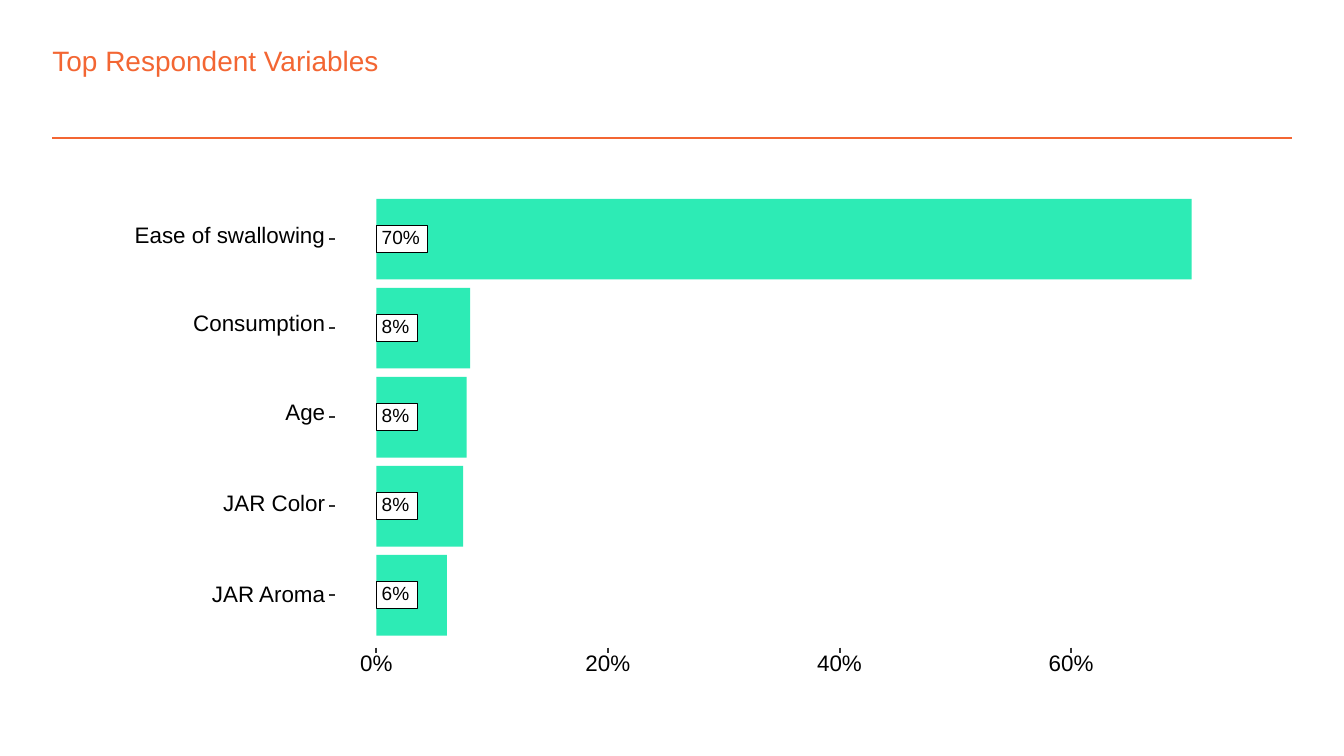
from lxml import etree
from pptx import Presentation
from pptx.dml.color import RGBColor
from pptx.enum.shapes import MSO_CONNECTOR, MSO_SHAPE
from pptx.enum.text import MSO_ANCHOR, PP_ALIGN
from pptx.oxml.ns import qn
from pptx.util import Inches, Pt

RECTANGLE = MSO_SHAPE.RECTANGLE
STRAIGHT = MSO_CONNECTOR.STRAIGHT
TOP, MIDDLE = MSO_ANCHOR.TOP, MSO_ANCHOR.MIDDLE
LEFT, CENTER, RIGHT = PP_ALIGN.LEFT, PP_ALIGN.CENTER, PP_ALIGN.RIGHT

ORANGE = RGBColor(0xF3, 0x66, 0x33)
TEAL = RGBColor(0x2D, 0xEB, 0xB5)
WHITE = RGBColor(0xFF, 0xFF, 0xFF)
BLACK = RGBColor(0x00, 0x00, 0x00)
TICK_GRAY = RGBColor(0x33, 0x33, 0x33)

deck = Presentation()
deck.slide_width = Inches(10)
deck.slide_height = Inches(10 * 9 / 16)
page = deck.slides.add_slide(deck.slide_layouts[6])


def add_text(text, left, top, width, height, size, color=BLACK, align=LEFT, anchor=MIDDLE):
    box = page.shapes.add_textbox(Inches(left), Inches(top), Inches(width), Inches(height))
    frame = box.text_frame
    frame.margin_left = frame.margin_right = frame.margin_top = frame.margin_bottom = 0
    frame.word_wrap = anchor == TOP
    frame.vertical_anchor = anchor
    para = frame.paragraphs[0]
    para.text = text
    para.alignment = align
    if anchor == MIDDLE:
        para.line_spacing = Pt(size)
    para.font.name = "Arial"
    para.font.size = Pt(size)
    para.font.color.rgb = color


def add_line(x1, y1, x2, y2, color, weight):
    line = page.shapes.add_connector(STRAIGHT, Inches(x1), Inches(y1), Inches(x2), Inches(y2))
    line.line.color.rgb = color
    line.line.width = Pt(weight)
    etree.SubElement(line._element.spPr, qn("a:effectLst"))


add_line(0.39, 1.03, 9.61, 1.03, ORANGE, 1)
add_text("Top Respondent Variables", 0.39, 0.32, 8.29, 0.25, 15, ORANGE, anchor=TOP)

AXIS_LEFT = 2.8
INCHES_PER_PERCENT = 5.17 / 60
FIRST_BAR_TOP = 1.48
BAR_HEIGHT = 0.6
BAR_PITCH = 2.65 / 4

variables = [
    ("Ease of swallowing", 70.4, 1.44, -0.1, 0.16),
    ("Consumption", 8.1, 1.01, -0.1, 0.15),
    ("Age", 7.8, 0.32, -0.1, 0.15),
    ("JAR Color", 7.5, 0.79, -0.07, 0.12),
    ("JAR Aroma", 6.1, 0.87, -0.06, 0.12),
]

for row, (name, share, name_width, name_offset, name_height) in enumerate(variables):
    bar_top = FIRST_BAR_TOP + row * BAR_PITCH
    middle = bar_top + BAR_HEIGHT / 2
    value = f"{share:.0f}%"
    value_width = 0.1 + 0.07 * len(value)

    bar = page.shapes.add_shape(
        RECTANGLE, Inches(AXIS_LEFT), Inches(bar_top),
        Inches(share * INCHES_PER_PERCENT), Inches(BAR_HEIGHT))
    bar.shadow.inherit = False
    bar.fill.solid()
    bar.fill.fore_color.rgb = TEAL
    bar.line.fill.background()

    value_box = page.shapes.add_shape(
        RECTANGLE, Inches(AXIS_LEFT), Inches(middle - 0.1),
        Inches(value_width + 0.07), Inches(0.2))
    value_box.shadow.inherit = False
    value_box.fill.solid()
    value_box.fill.fore_color.rgb = WHITE
    value_box.line.color.rgb = BLACK
    value_box.line.width = Pt(0.53)

    add_text(value, AXIS_LEFT + 0.04, middle - 0.06, value_width, 0.11, 10.2)
    add_text(name, 2.42 - name_width, middle + name_offset, name_width, name_height, 12, align=RIGHT)
    add_line(2.45, middle, 2.49, middle, TICK_GRAY, 1.07)

for percent in range(0, 61, 20):
    x = AXIS_LEFT + percent * INCHES_PER_PERCENT
    label_width = 0.37 if percent else 0.28
    add_line(x, 4.82, x, 4.86, TICK_GRAY, 1.07)
    add_text(f"{percent}%", x - label_width / 2, 4.88, label_width, 0.13, 12, align=CENTER)

deck.save("out.pptx")
